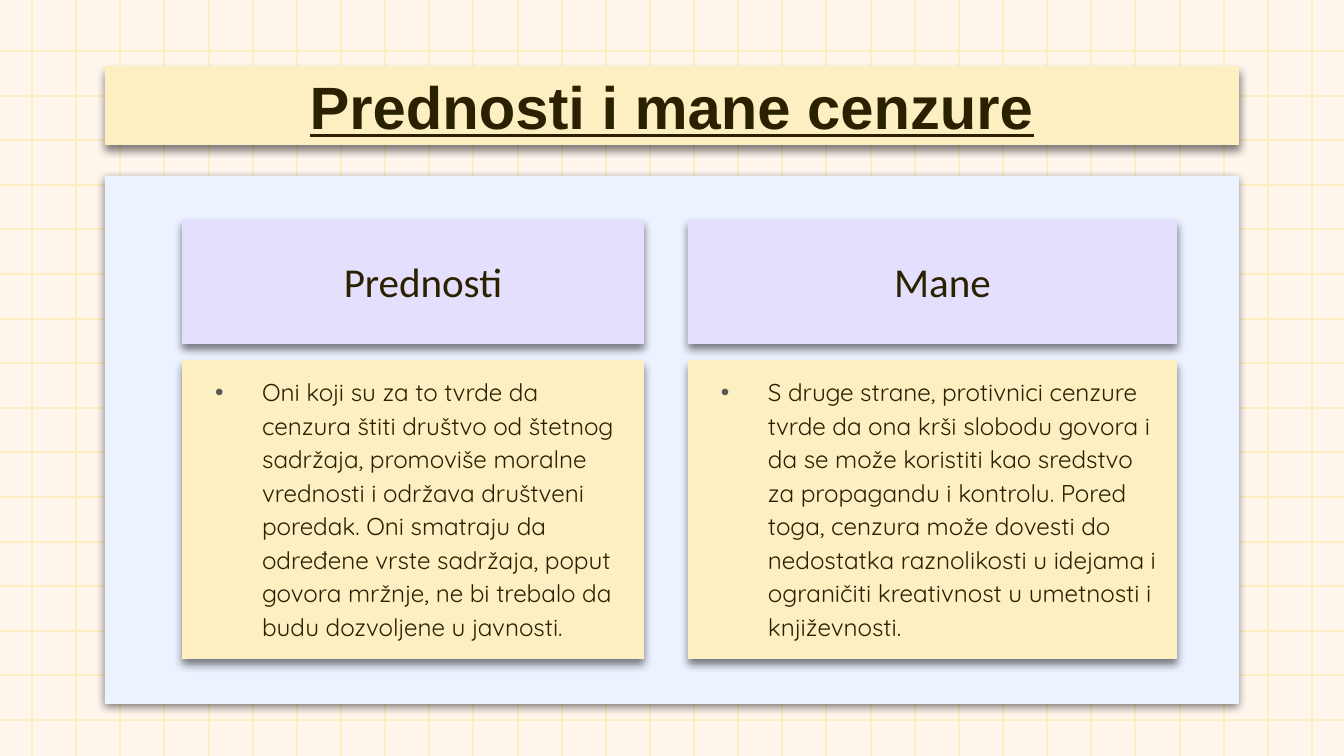
import pptx
import pptx.dml.color
import pptx.enum.shapes
import pptx.enum.text
import pptx.oxml
import pptx.oxml.ns
import pptx.util

WIDTH, HEIGHT = 1344, 756
CREAM, YELLOW, BLUE, LILAC = "FFF7EE", "FDEFC2", "ECF2FF", "E3DFFD"
INK, BULLET = "2B2101", "575757"
NS = pptx.oxml.ns.nsdecls("a")

COLUMNS = [
    (182, 462, "Prednosti",
     "Oni koji su za to tvrde da cenzura štiti društvo od štetnog sadržaja, "
     "promoviše moralne vrednosti i održava društveni poredak. Oni smatraju "
     "da određene vrste sadržaja, poput govora mržnje, ne bi trebalo da budu "
     "dozvoljene u javnosti."),
    (688, 489, "Mane",
     "S druge strane, protivnici cenzure tvrde da ona krši slobodu govora i "
     "da se može koristiti kao sredstvo za propagandu i kontrolu. Pored toga, "
     "cenzura može dovesti do nedostatka raznolikosti u idejama i ograničiti "
     "kreativnost u umetnosti i književnosti."),
]


def px(n):
    return pptx.util.Emu(round(n * 914400 / 134.4))


def color(value):
    return pptx.dml.color.RGBColor.from_string(value)


def add_grid_line(s, x1, y1, x2, y2):
    line = s.shapes.add_connector(
        pptx.enum.shapes.MSO_CONNECTOR.STRAIGHT, px(x1), px(y1), px(x2), px(y2))
    line.line.color.rgb = color(YELLOW)
    line.line.width = pptx.util.Pt(0.75)
    line.element.spPr.append(pptx.oxml.parse_xml(f"<a:effectLst {NS}/>"))


def add_grid(s):
    for i in range(30):
        x = round(32 + i * 1280 / 29)
        add_grid_line(s, x, 0, x, HEIGHT)
    for i in range(16):
        y = round(51 + i * 669 / 15)
        add_grid_line(s, 0, y, WIDTH, y)


def style_card(sp, fill, distance):
    """Give a shape a plain fill, no outline and a soft shadow below it."""
    sp.fill.solid()
    sp.fill.fore_color.rgb = color(fill)
    sp.line.fill.background()
    sp.shadow.inherit = False
    effects = sp.element.spPr.find(pptx.oxml.ns.qn("a:effectLst"))
    effects.append(pptx.oxml.parse_xml(
        f'<a:outerShdw {NS} blurRad="{pptx.util.Pt(4.5)}" '
        f'dist="{pptx.util.Pt(distance)}" dir="5400000" algn="bl" rotWithShape="0">'
        '<a:srgbClr val="000000"><a:alpha val="50000"/></a:srgbClr></a:outerShdw>'))


def add_panel(s):
    sp = s.shapes.add_shape(pptx.enum.shapes.MSO_SHAPE.RECTANGLE,
                            px(105), px(176), px(1134), px(528))
    style_card(sp, BLUE, 1.5)


def set_bullet(p, shown):
    """Set the hanging indent, with a dot or with no bullet."""
    pPr = p._p.get_or_add_pPr()
    pPr.set("marL", str(px(67)))
    pPr.set("indent", str(px(-47)))
    if shown:
        parts = [f'<a:buClr {NS}><a:srgbClr val="{BULLET}"/></a:buClr>',
                 f'<a:buFont {NS} typeface="Arial"/>',
                 f'<a:buChar {NS} char="•"/>']
    else:
        parts = [f"<a:buNone {NS}/>"]
    for part in parts:
        pPr.append(pptx.oxml.parse_xml(part))


def fill_placeholder(s, sp, box, fill, text, font, size, centered=True, emphasis=False):
    """Place a placeholder as a card above the panel and write its text."""
    s.shapes.element.append(sp.element)
    sp.left, sp.top, sp.width, sp.height = map(px, box)
    style_card(sp, fill, 3)
    tf = sp.text_frame
    tf.word_wrap = True
    tf.auto_size = pptx.enum.text.MSO_AUTO_SIZE.NONE
    anchors, aligns = pptx.enum.text.MSO_ANCHOR, pptx.enum.text.PP_ALIGN
    tf.vertical_anchor = anchors.MIDDLE if centered else anchors.TOP
    tf.margin_left = tf.margin_right = tf.margin_top = tf.margin_bottom = px(13)
    p = tf.paragraphs[0]
    if not emphasis:
        set_bullet(p, not centered)
    p.alignment = aligns.CENTER if centered else aligns.LEFT
    p.line_spacing = 1.0 if centered else 1.15
    p.space_before = pptx.util.Pt(0)
    r = p.add_run()
    r.text = text
    r.font.name = font
    r.font.size = pptx.util.Pt(size)
    r.font.color.rgb = color(INK)
    r.font.bold = r.font.underline = emphasis


def main():
    prs = pptx.Presentation()
    prs.slide_width, prs.slide_height = px(WIDTH), px(HEIGHT)
    s = prs.slides.add_slide(prs.slide_layouts.get_by_name("Comparison"))
    s.background.fill.solid()
    s.background.fill.fore_color.rgb = color(CREAM)
    title, *bodies = list(s.placeholders)

    add_grid(s)
    add_panel(s)
    fill_placeholder(s, title, (105, 66, 1134, 79), YELLOW,
                     "Prednosti i mane cenzure", "Arial", 32, emphasis=True)
    for (x, width, heading, text), head, body in zip(COLUMNS, bodies[::2], bodies[1::2]):
        fill_placeholder(s, head, (x, 219, width, 125), LILAC, heading, "Calibri", 22)
        fill_placeholder(s, body, (x, 360, width, 299), YELLOW, text,
                         "Quicksand", 13, centered=False)
    prs.save("out.pptx")


if __name__ == "__main__":
    main()
